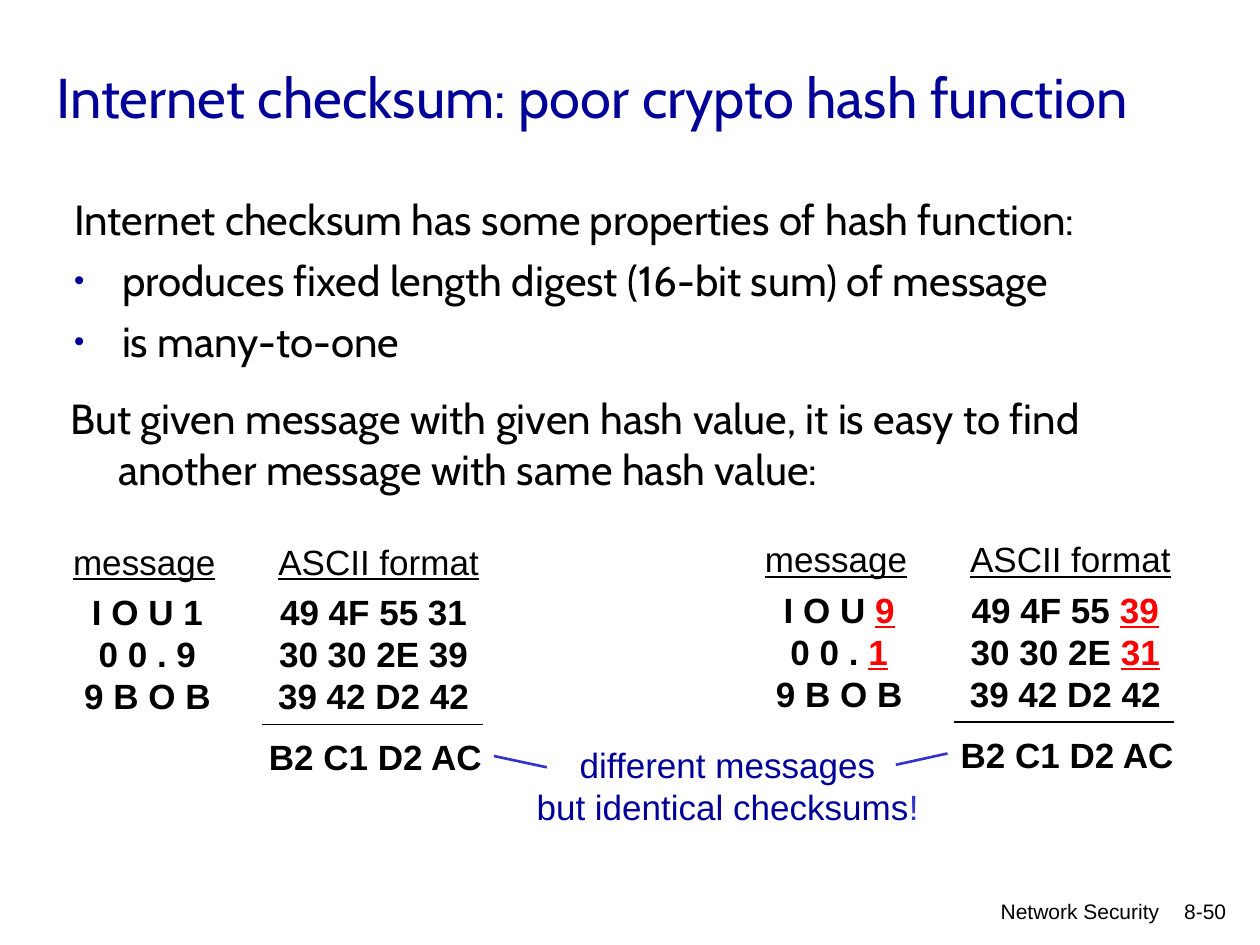
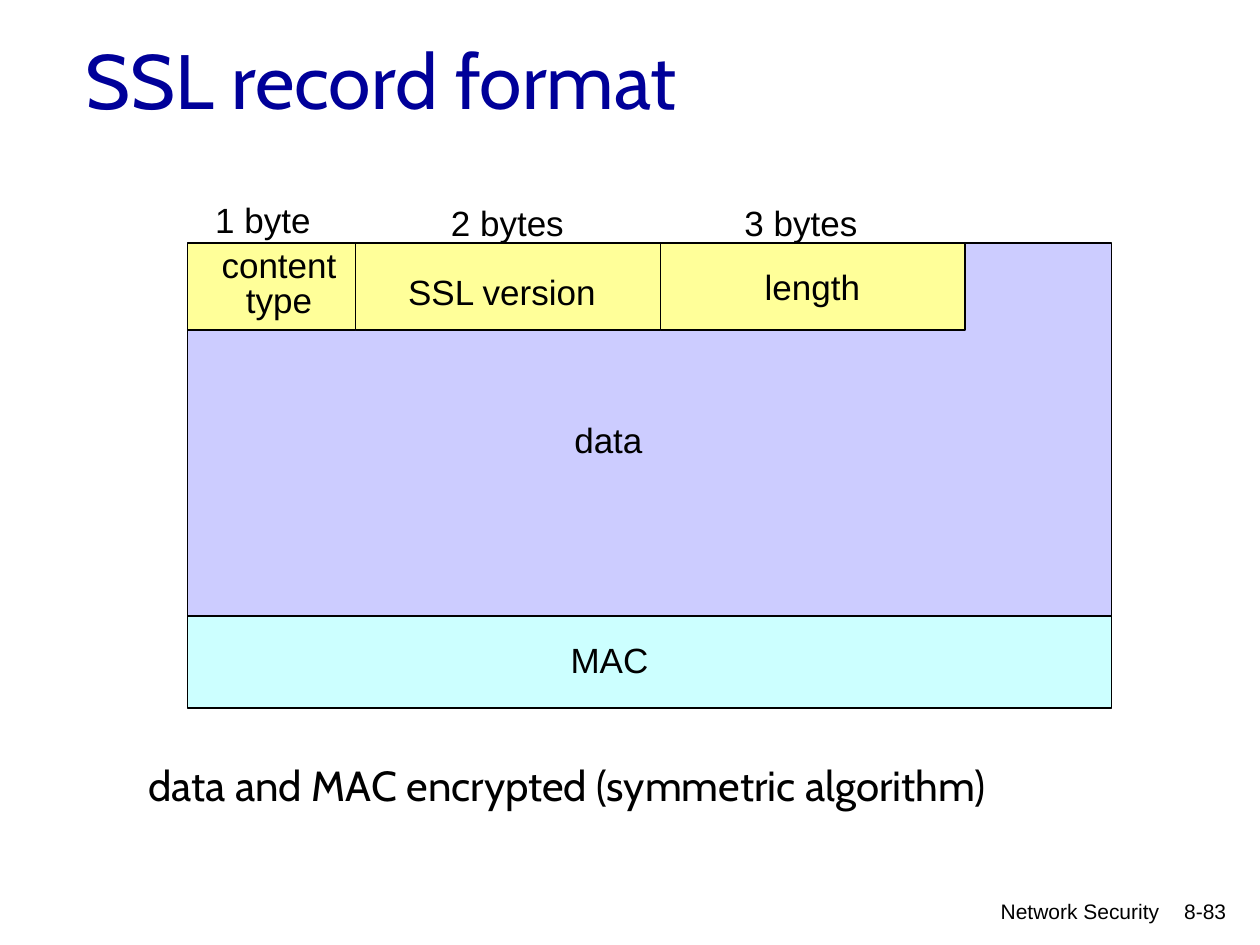
from lxml import etree
from pptx import Presentation
from pptx.dml.color import RGBColor
from pptx.enum.shapes import MSO_CONNECTOR, MSO_SHAPE
from pptx.enum.text import MSO_ANCHOR, MSO_AUTO_SIZE, PP_ALIGN
from pptx.oxml.ns import qn
from pptx.util import Inches, Pt

# Shared style
BLACK = RGBColor(0x00, 0x00, 0x00)
NAVY = RGBColor(0x00, 0x00, 0x99)
BLUE = RGBColor(0x33, 0x33, 0xCC)
RED = RGBColor(0xFF, 0x00, 0x00)
LAVENDER = RGBColor(0xCC, 0xCC, 0xFF)
YELLOW = RGBColor(0xFF, 0xFF, 0x99)
CYAN = RGBColor(0xCC, 0xFF, 0xFF)
HEADING_FONT, LABEL_FONT = "Cabin", "Arial"
LEFT, CENTER, RIGHT = PP_ALIGN.LEFT, PP_ALIGN.CENTER, PP_ALIGN.RIGHT
HANGING = 0.38


def add_bullet(properties):
    color = etree.SubElement(properties, qn("a:buClr"))
    etree.SubElement(color, qn("a:srgbClr"), val=str(NAVY))
    etree.SubElement(properties, qn("a:buSzPct"), val="70000")
    etree.SubElement(properties, qn("a:buFont"), typeface=LABEL_FONT)
    etree.SubElement(properties, qn("a:buChar"), char="•")


def add_text(slide, lines, left, top, width, height, *, size=20, font=LABEL_FONT,
             color=BLACK, bold=False, underline=False, align=LEFT, wrap=False,
             anchor=MSO_ANCHOR.TOP, line_spacing=None, space_before=0,
             hanging=0, bulleted=(), mark_color=RED, mark_underline=True):
    """Each line is a string, or a (plain, marked) pair of strings."""
    box = slide.shapes.add_textbox(Inches(left), Inches(top), Inches(width), Inches(height))
    frame = box.text_frame
    frame.word_wrap = wrap
    frame.auto_size = MSO_AUTO_SIZE.NONE if wrap else MSO_AUTO_SIZE.SHAPE_TO_FIT_TEXT
    frame.vertical_anchor = anchor
    for index, line in enumerate(lines):
        paragraph = frame.add_paragraph() if index else frame.paragraphs[0]
        properties = paragraph._p.get_or_add_pPr()
        if hanging:
            properties.set("marL", str(Inches(hanging)))
            properties.set("indent", str(-Inches(hanging)))
        if index in bulleted:
            add_bullet(properties)
        paragraph.alignment = align
        if line_spacing:
            paragraph.line_spacing = Pt(line_spacing)
        if index and space_before:
            paragraph.space_before = Pt(space_before)
        parts = (line,) if isinstance(line, str) else line
        for part, text in enumerate(parts):
            run = paragraph.add_run()
            run.text = text
            run.font.name = font
            run.font.size = Pt(size)
            run.font.bold = bold
            run.font.color.rgb = mark_color if part else color
            run.font.underline = mark_underline if part else underline


def add_line(slide, start, end, color=BLACK, weight=0.75):
    line = slide.shapes.add_connector(
        MSO_CONNECTOR.STRAIGHT, *(Inches(value) for value in (*start, *end)))
    line.line.color.rgb = color
    line.line.width = Pt(weight)
    etree.SubElement(line._element.spPr, qn("a:effectLst"))


def add_field(slide, left, top, width, height, fill):
    field = slide.shapes.add_shape(
        MSO_SHAPE.RECTANGLE, Inches(left), Inches(top), Inches(width), Inches(height))
    field.shadow.inherit = False
    field.fill.solid()
    field.fill.fore_color.rgb = fill
    field.line.color.rgb = BLACK
    field.line.width = Pt(0.75)


def new_slide(deck, title, title_box, title_size, number):
    slide = deck.slides.add_slide(deck.slide_layouts[6])
    add_text(slide, [number], 9.09, 7.08, 0.74, 0.33, size=12, align=RIGHT, wrap=True)
    add_text(slide, ["Network Security"], 5.08, 7.08, 4.22, 0.34,
             size=12, align=RIGHT, wrap=True)
    add_text(slide, [title], *title_box, size=title_size, font=HEADING_FONT,
             color=NAVY, wrap=True, anchor=MSO_ANCHOR.MIDDLE)
    return slide


def add_checksum_example(slide, left, top, message, codes):
    """Message and its ASCII bytes, with the checksum under a rule."""
    ascii_left = left + 1.63
    add_text(slide, ["message"], left, top, 1.33, 0.44, underline=True, align=CENTER)
    add_text(slide, ["ASCII format"], ascii_left, top, 1.79, 0.44,
             underline=True, align=CENTER)
    add_text(slide, message, left + 0.07, top + 0.4, 1.24, 1.1, bold=True, align=CENTER)
    add_text(slide, codes, ascii_left - 0.02, top + 0.4, 1.75, 1.1,
             bold=True, align=CENTER)
    rule_left, rule_top = left + 1.6, top + 1.51
    add_line(slide, (rule_left, rule_top), (rule_left + 1.75, rule_top))
    add_text(slide, ["B2 C1 D2 AC"], left + 1.53, top + 1.55, 1.94, 0.44,
             bold=True, align=CENTER)


def build_checksum_slide(deck):
    slide = new_slide(deck, "Internet checksum: poor crypto hash function",
                      (0.35, 0.3, 8.88, 0.92), 32, "8-50")
    # Properties of the checksum
    prose = dict(size=24, font=HEADING_FONT, wrap=True, hanging=HANGING)
    add_text(slide, ["Internet checksum has some properties of hash function:",
                     "produces fixed length digest (16-bit sum) of message",
                     "is many-to-one"],
             0.49, 1.49, 9.21, 2.32, space_before=6, bulleted=(1, 2), **prose)
    add_text(slide, ["But given message with given hash value, it is easy to find "
                     "another message with same hash value:"],
             0.46, 3.07, 9.21, 1.07, **prose)

    # Two messages with the same checksum
    add_checksum_example(slide, 0.48, 4.24, ["I O U 1", "0 0 . 9", "9 B O B"],
                         ["49 4F 55 31", "30 30 2E 39", "39 42 D2 42"])
    add_checksum_example(slide, 5.97, 4.22,
                         [("I O U ", "9"), ("0 0 . ", "1"), "9 B O B"],
                         [("49 4F 55 ", "39"), ("30 30 2E ", "31"), "39 42 D2 42"])

    # Conclusion pointing at both checksums
    add_text(slide, ["different messages", ("but identical checksums", "!")],
             4.16, 5.85, 3.23, 0.77, color=NAVY, align=CENTER,
             mark_color=BLUE, mark_underline=False)
    add_line(slide, (4.34, 6.09), (3.92, 6), BLUE, 1.5)
    add_line(slide, (7.11, 6.07), (7.52, 5.98), BLUE, 1.5)


def build_record_slide(deck):
    slide = new_slide(deck, "SSL record format", (0.58, 0, 8.5, 1.25), 44, "8-83")
    # Record fields
    record_left, record_top, record_width = 1.49, 1.93, 7.33
    add_field(slide, record_left, record_top, record_width, 3.13, LAVENDER)
    field_left = record_left
    for width in (1.33, 2.42, 2.42):
        add_field(slide, field_left, record_top, width, 0.69, YELLOW)
        field_left += width
    add_field(slide, record_left, 4.89, record_width, 0.73, CYAN)

    # Field names and sizes
    add_text(slide, ["content", "type"], 1.66, 1.94, 1.11, 0.66,
             align=CENTER, line_spacing=20)
    for label, left, top, width in (
            ("SSL version", 3.14, 2.1, 1.75), ("length", 5.97, 2.06, 1),
            ("MAC", 4.43, 5.02, 0.85), ("data", 4.46, 3.27, 0.8),
            ("1 byte", 1.61, 1.53, 1), ("2 bytes", 3.48, 1.55, 1.15),
            ("3 bytes", 5.81, 1.55, 1.15)):
        add_text(slide, [label], left, top, width, 0.44)
    add_text(slide, ["data and MAC encrypted (symmetric algorithm)"],
             1.08, 5.98, 7.62, 0.5, size=24, font=HEADING_FONT)


def main():
    deck = Presentation()
    deck.slide_width, deck.slide_height = Inches(10), Inches(7.5)
    build_checksum_slide(deck)
    build_record_slide(deck)
    deck.save("out.pptx")


if __name__ == "__main__":
    main()
